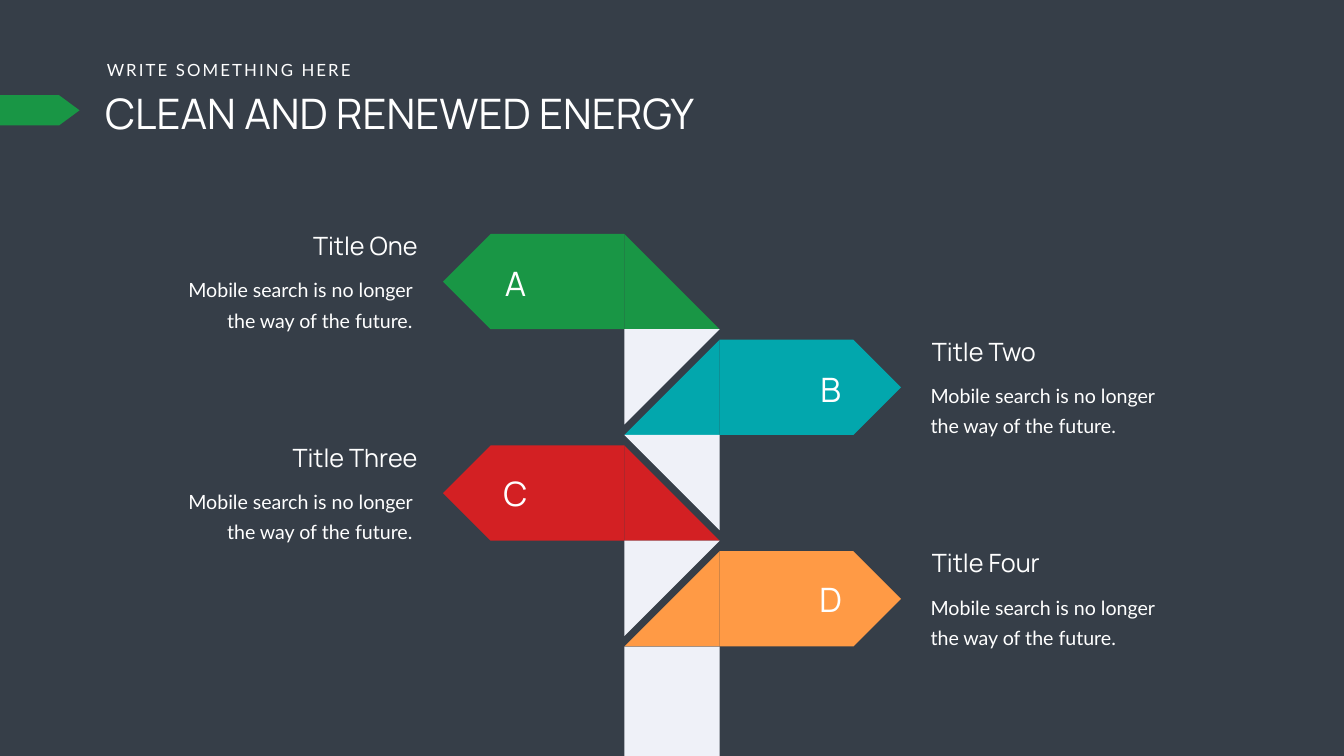
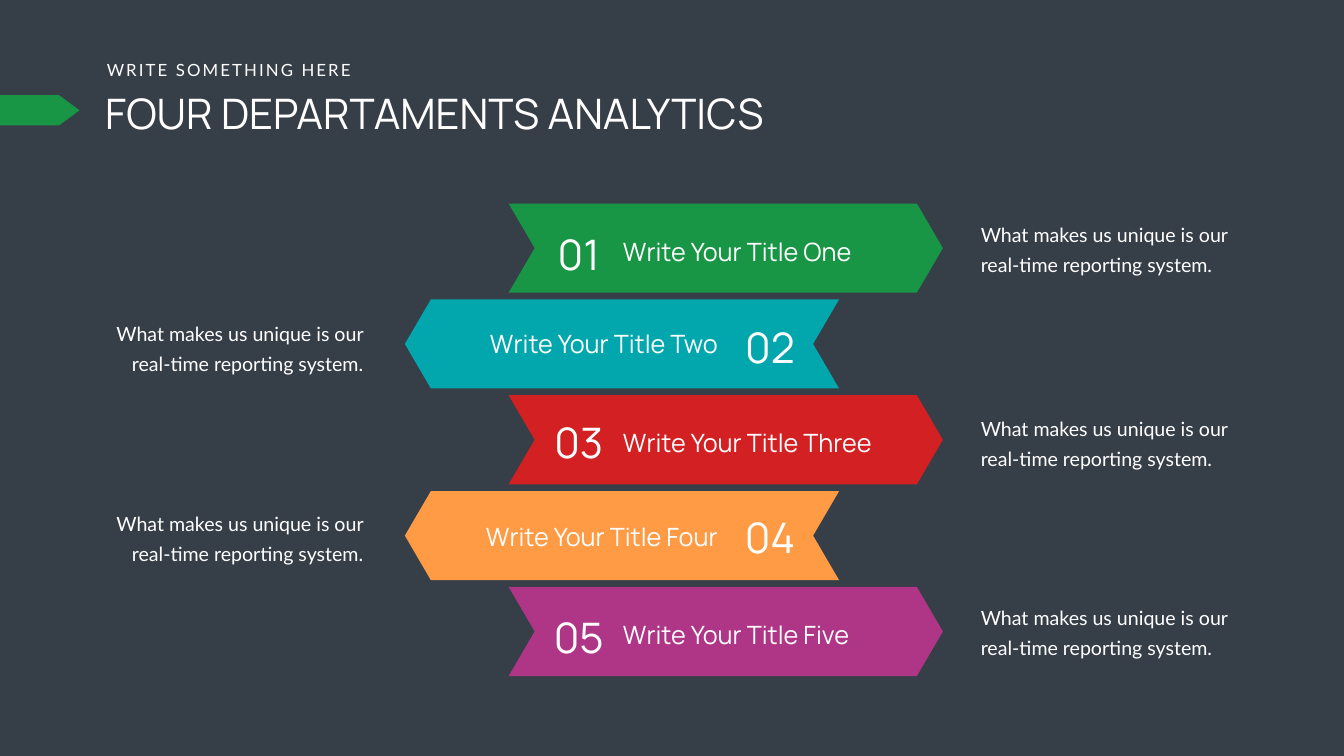
from dataclasses import dataclass

from pptx import Presentation
from pptx import util as u
from pptx.dml.color import RGBColor
from pptx.enum import shapes, text

HEADING_FONT, BODY_FONT = "Manrope", "Lato"
NIGHT, WHITE, POST = "363E48", "FFFFFF", "EFF1F8"
GREEN, TEAL, RED, ORANGE, PURPLE = "199645", "02A7AD", "D32023", "FF9A45", "AF3686"

SUBTITLE = "WRITE SOMETHING HERE"
SIGN_NOTE = "Mobile search is no longer the way of the future."
BANNER_NOTE = "What makes us unique is our real-time reporting system."

# Signpost grid, in centimetres
SIGN_TOP, SIGN_PITCH, SIGN_SIZE, SIGN_ARM = 11.79, 5.33, 4.8, 9.14
POST_LEFT = 31.46

# Banner grid, in centimetres
BANNER_TOP, BANNER_PITCH = 10.26, 4.83
BANNER_WIDTH, BANNER_HEIGHT, BANNER_POINT = 21.88, 4.49, 1.31


@dataclass(frozen=True)
class Sign:
    letter: str
    title: str
    color: str
    points_left: bool
    letter_top: float


@dataclass(frozen=True)
class Banner:
    number: str
    title: str
    color: str
    points_left: bool
    number_top: float
    number_width: float
    title_top: float
    note_top: float


SIGNS = [
    Sign("A", "Title One", GREEN, True, 13.13),
    Sign("B", "Title Two", TEAL, False, 18.47),
    Sign("C", "Title Three", RED, True, 23.7),
    Sign("D", "Title Four", ORANGE, False, 29.03),
]

BANNERS = [
    Banner("01", "Write Your Title One", GREEN, False, 11.38, 2.64, 11.79, 10.77),
    Banner("02", "Write Your Title Two", TEAL, True, 16.08, 3.12, 16.43, 15.75),
    Banner("03", "Write Your Title Three", RED, False, 20.88, 3.15, 21.39, 20.57),
    Banner("04", "Write Your Title Four", ORANGE, True, 25.65, 3.28, 26.16, 25.35),
    Banner("05", "Write Your Title Five", PURPLE, False, 30.71, 3.25, 31.09, 30.1),
]


def rgb(color: str) -> RGBColor:
    return RGBColor.from_string(color)


def paint(shape, color: str) -> None:
    """Flat fill, without outline or shadow."""
    shape.shadow.inherit = False
    shape.fill.solid()
    shape.fill.fore_color.rgb = rgb(color)
    shape.line.fill.background()


def add_block(page, kind, left: float, top: float, width: float, height: float,
              color: str, rotation: float = 0, flip: bool = False):
    shape = page.shapes.add_shape(kind, u.Cm(left), u.Cm(top), u.Cm(width), u.Cm(height))
    paint(shape, color)
    shape.rotation = rotation
    if flip:
        shape._element.spPr.xfrm.set("flipH", "1")
    return shape


def add_text(page, words: str, left: float, top: float, width: float, height: float, *,
             size: float, font: str = HEADING_FONT, align: str = "LEFT", wrap: bool = True,
             leading: float = 0, tracking: float = 0, inset: tuple = ()) -> None:
    box = page.shapes.add_textbox(u.Cm(left), u.Cm(top), u.Cm(width), u.Cm(height))
    frame = box.text_frame
    frame.word_wrap = wrap
    frame.auto_size = text.MSO_AUTO_SIZE.SHAPE_TO_FIT_TEXT
    if inset:
        frame.margin_left = frame.margin_right = u.Cm(inset[0])
        frame.margin_top = frame.margin_bottom = u.Cm(inset[1])
    para = frame.paragraphs[0]
    para.alignment = getattr(text.PP_ALIGN, align)
    if leading:
        para.line_spacing = u.Pt(leading)
    span = para.add_run()
    span.text = words
    span.font.size = u.Pt(size)
    span.font.name = font
    span.font.color.rgb = rgb(WHITE)
    if tracking:
        span.font._element.set("spc", str(round(tracking * 100)))


def add_page(deck, title: str, title_width: float):
    """A dark page with its title, subtitle and green tag."""
    page = deck.slides.add_slide(deck.slide_layouts[6])
    page.background.fill.solid()
    page.background.fill.fore_color.rgb = rgb(NIGHT)
    add_text(page, title, 5.05, 4.27, title_width, 2.82, size=60)
    add_text(page, SUBTITLE, 5.13, 2.87, 13.06, 1.27, size=24, font=BODY_FONT,
             wrap=False, tracking=3)
    tag = add_block(page, shapes.MSO_SHAPE.PENTAGON, 0, 4.8, 4.01, 1.52, GREEN)
    tag.adjustments[0] = 0.678
    return page


def draw_sign(page, sign: Sign, top: float, has_post: bool) -> None:
    arm, fold = shapes.MSO_SHAPE.PENTAGON, shapes.MSO_SHAPE.RIGHT_TRIANGLE
    left = sign.points_left
    arm_left = POST_LEFT - SIGN_ARM if left else POST_LEFT + SIGN_SIZE
    add_block(page, arm, arm_left, top, SIGN_ARM, SIGN_SIZE, sign.color,
              rotation=180 if left else 0)
    add_block(page, fold, POST_LEFT, top, SIGN_SIZE, SIGN_SIZE, sign.color, flip=not left)
    if has_post:
        add_block(page, fold, POST_LEFT, top + SIGN_SIZE, SIGN_SIZE, SIGN_SIZE, POST,
                  rotation=90 if left else 270, flip=not left)

    align = "RIGHT" if left else "LEFT"
    add_text(page, sign.letter, 24.51 if left else 40.39, sign.letter_top, 2.92, 2.31,
             size=48, align="CENTER")
    add_text(page, SIGN_NOTE, 8.33 if left else 46.28, top + 1.61, 13.06, 3.51,
             size=28, font=BODY_FONT, align=align, leading=43, inset=(0.61, 0.3))
    add_text(page, sign.title, 8.64 if left else 46.71, top - 0.3, 12.65, 1.8,
             size=36, align=align)


def draw_banner(page, banner: Banner, top: float) -> None:
    left = banner.points_left
    # The tail is the notched end; direction leads from it to the point.
    tail, direction = (42.28, -1) if left else (25.63, 1)
    middle, bottom = top + BANNER_HEIGHT / 2, top + BANNER_HEIGHT
    outline = [(0, top), (BANNER_WIDTH - BANNER_POINT, top), (BANNER_WIDTH, middle),
               (BANNER_WIDTH - BANNER_POINT, bottom), (0, bottom), (BANNER_POINT, middle)]
    points = [(u.Cm(tail + direction * x), u.Cm(y)) for x, y in outline]
    builder = page.shapes.build_freeform(*points[0])
    builder.add_line_segments(points[1:], close=True)
    paint(builder.convert_to_shape(), banner.color)

    align = "RIGHT" if left else "LEFT"
    number_center = 38.8 if left else 29.16
    add_text(page, banner.number, number_center - banner.number_width / 2, banner.number_top,
             banner.number_width, 2.57, size=60, align="CENTER", wrap=False)
    add_text(page, banner.title, 22.07 if left else 31.14, banner.title_top,
             14.35 if left else 14.61, 1.8, size=36, align=align)
    add_text(page, BANNER_NOTE, 4.83 if left else 49.17, banner.note_top, 13.72, 3.18,
             size=28, font=BODY_FONT, align=align, leading=43)


def main() -> None:
    deck = Presentation()
    deck.slide_width, deck.slide_height = u.Cm(67.72), u.Cm(38.1)

    # Signpost with four arms
    page = add_page(deck, "CLEAN AND RENEWED ENERGY", 40.79)
    for index, sign in enumerate(SIGNS):
        draw_sign(page, sign, SIGN_TOP + index * SIGN_PITCH, sign is not SIGNS[-1])
    add_block(page, shapes.MSO_SHAPE.RECTANGLE, POST_LEFT, 32.59, SIGN_SIZE, 5.51, POST)

    # Five alternating banners
    page = add_page(deck, "FOUR DEPARTAMENTS ANALYTICS", 36.37)
    for index, banner in enumerate(BANNERS):
        draw_banner(page, banner, BANNER_TOP + index * BANNER_PITCH)

    deck.save("out.pptx")


if __name__ == "__main__":
    main()
